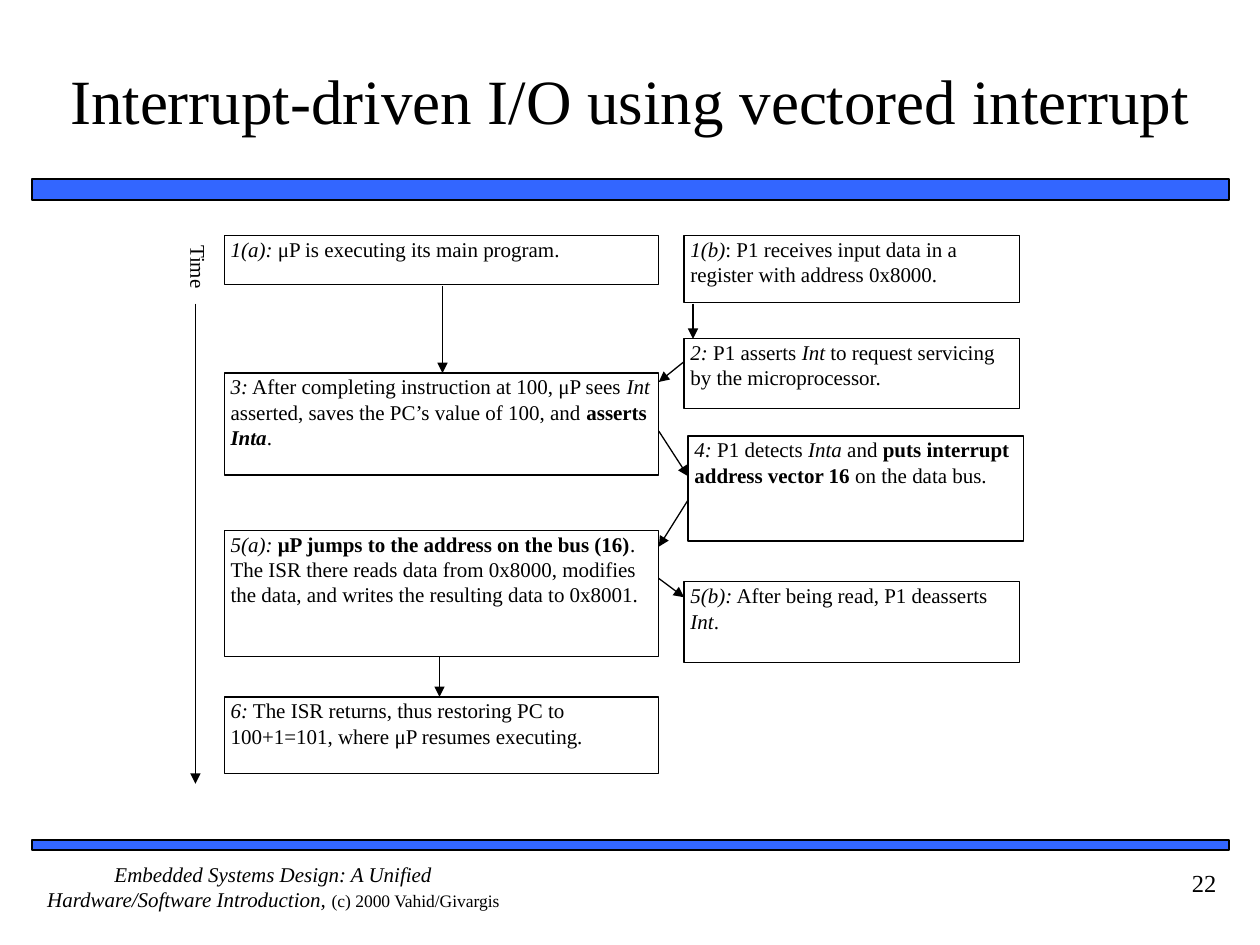
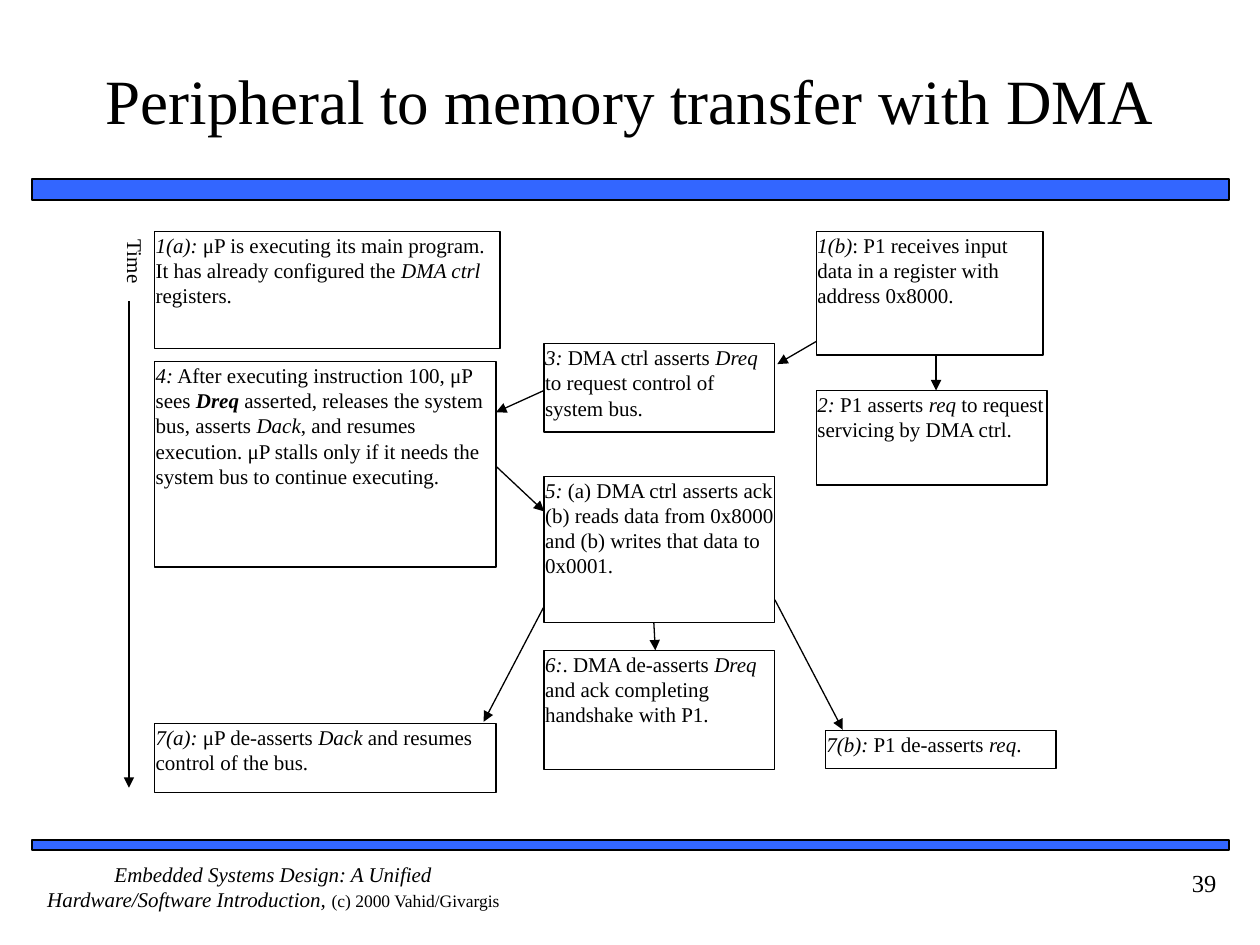
import dataclasses

import lxml.etree
import pptx
import pptx.dml.color
import pptx.enum.shapes
import pptx.enum.text
import pptx.oxml.ns
import pptx.util

Cm = pptx.util.Cm
Pt = pptx.util.Pt
Align = pptx.enum.text.PP_ALIGN
Anchor = pptx.enum.text.MSO_ANCHOR
qn = pptx.oxml.ns.qn


@dataclasses.dataclass(frozen=True)
class Theme:
    font: str = "Times New Roman"
    ink: pptx.dml.color.RGBColor = pptx.dml.color.RGBColor(0x00, 0x00, 0x00)
    band: pptx.dml.color.RGBColor = pptx.dml.color.RGBColor(0x33, 0x66, 0xFF)
    title_size: float = 36
    number_size: float = 14
    body_size: float = 12
    credit_size: float = 10
    band_line: float = 1
    box_line: float = 0.75


class Page:
    def __init__(self, deck, theme, title, number, box_inset):
        self.theme = theme
        self.box_inset = box_inset
        self.shapes = deck.slides.add_slide(deck.slide_layouts[6]).shapes
        self.band(3.61, 0.43)
        self.band(16.93, 0.21)
        self.label(1.06, 0.42, 23.28, 3.18, title, theme.title_size,
                   Align.CENTER, (0, 0.13), Anchor.MIDDLE)
        footer = self.label(
            0.64, 17.36, 9.74, 1.27,
            "_Embedded Systems Design: A Unified Hardware/Software Introduction, _"
            "(c) 2000 Vahid/Givargis", theme.body_size, Align.CENTER)
        footer.text_frame.paragraphs[0].runs[-1].font.size = Pt(theme.credit_size)
        counter = self.label(22.23, 17.36, 2.54, 1.27, str(number),
                             theme.number_size, Align.RIGHT, (0.25, 0.13))
        counter.text_frame.paragraphs[0].space_before = Pt(8.8)

    def set_marked_text(self, frame, marked_text, size, align, insets, anchor):
        frame.word_wrap = True
        frame.vertical_anchor = anchor
        frame.margin_left = frame.margin_right = Cm(insets[0])
        frame.margin_top = frame.margin_bottom = Cm(insets[1])
        para = frame.paragraphs[0]
        para.alignment = align
        for bold, part in enumerate(marked_text.split("*")):
            for italic, words in enumerate(part.split("_")):
                if words:
                    span = para.add_run()
                    span.text = words
                    span.font.name = self.theme.font
                    span.font.size = Pt(size)
                    span.font.color.rgb = self.theme.ink
                    span.font.bold = bold % 2 == 1
                    span.font.italic = italic % 2 == 1

    def label(self, left, top, width, height, text, size,
              align=Align.LEFT, insets=(0, 0), anchor=Anchor.TOP):
        box = self.shapes.add_textbox(Cm(left), Cm(top), Cm(width), Cm(height))
        self.set_marked_text(box.text_frame, text, size, align, insets, anchor)
        return box

    def rectangle(self, left, top, width, height, line_width):
        box = self.shapes.add_shape(pptx.enum.shapes.MSO_SHAPE.RECTANGLE,
                                    Cm(left), Cm(top), Cm(width), Cm(height))
        box.shadow.inherit = False
        box.fill.background()
        box.line.color.rgb = self.theme.ink
        box.line.width = Pt(line_width)
        return box

    def band(self, top, height):
        bar = self.rectangle(0.64, top, 24.13, height, self.theme.band_line)
        bar.fill.solid()
        bar.fill.fore_color.rgb = self.theme.band

    def step(self, left, top, width, height, text):
        box = self.rectangle(left, top, width, height, self.theme.box_line)
        self.set_marked_text(box.text_frame, text, self.theme.body_size, Align.LEFT,
                             (self.box_inset, 0.02), Anchor.TOP)

    def arrow(self, x1, y1, x2, y2):
        line = self.shapes.add_connector(pptx.enum.shapes.MSO_CONNECTOR.STRAIGHT,
                                         Cm(x1), Cm(y1), Cm(x2), Cm(y2))
        line.line.color.rgb = self.theme.ink
        line.line.width = Pt(self.theme.box_line)
        properties = line._element.spPr
        outline = properties.find(qn("a:ln"))
        lxml.etree.SubElement(outline, qn("a:tailEnd")).set("type", "triangle")
        lxml.etree.SubElement(properties, qn("a:effectLst"))

    def time_axis(self, x, top, bottom, left, label_top, width, height):
        self.arrow(x, top, x, bottom)
        label = self.label(left, label_top, width, height, "Time", self.theme.body_size)
        label.rotation = 90


def vectored_interrupt(deck, theme):
    page = Page(deck, theme, "Interrupt-driven I/O using vectored interrupt", 22, 0.13)
    cpu, cpu_width = 4.52, 8.76
    device, device_width = 13.79, 6.76
    cpu_edge = cpu + cpu_width
    vector = 13.87

    cpu_steps = [
        (4.75, 0.99, "_1(a):_ μP is executing its main program."),
        (7.52, 2.06, "_3:_ After completing instruction at 100, μP sees _Int_ asserted, "
                     "saves the PC’s value of 100, and *asserts _Inta_*."),
        (10.69, 2.54, "_5(a): _*μP jumps to the address on the bus (16)*. The ISR there "
                      "reads data from 0x8000, modifies the data, and writes the "
                      "resulting data to 0x8001."),
        (14.05, 1.55, "_6:_ The ISR returns, thus restoring PC to 100+1=101, "
                      "where μP resumes executing."),
    ]
    device_steps = [
        (device, 4.75, 1.35,
         "_1(b)_: P1 receives input data in a register with address 0x8000."),
        (device, 6.83, 1.4,
         "_2:_ P1 asserts _Int_ to request servicing by the microprocessor."),
        (vector, 8.79, 2.12, "_4:_ P1 detects _Inta_ and *puts interrupt address "
                             "vector 16* on the data bus."),
        (device, 11.73, 1.63, "_5(b):_ After being read, P1 deasserts _Int_."),
    ]
    for top, height, text in cpu_steps:
        page.step(cpu, top, cpu_width, height, text)
    for left, top, height, text in device_steps:
        page.step(left, top, device_width, height, text)

    for ends in [
        (8.92, 5.77, 8.92, 7.52),
        (13.97, 6.12, 13.97, 6.83),
        (device, 7.29, cpu_edge, 7.7),
        (cpu_edge, 8.69, vector, 9.6),
        (vector, 10.08, cpu_edge, 11.02),
        (cpu_edge, 11.66, device, 12.04),
        (8.86, 13.23, 8.86, 14.05),
    ]:
        page.arrow(*ends)
    page.time_axis(3.94, 6.12, 15.8, 3.28, 5.18, 1.22, 0.74)


def dma_transfer(deck, theme):
    page = Page(deck, theme, "Peripheral to memory transfer with DMA", 39, 0.02)
    cpu, cpu_width = 3.12, 6.88
    dma, device, width = 10.97, 16.46, 4.65
    cpu_edge = cpu + cpu_width
    dma_edge = dma + width

    for step in [
        (cpu, 4.67, 6.96, 2.36, "_1(a):_ μP is executing its main program. It has already "
                                "configured the _DMA ctrl_ registers."),
        (device, 4.67, 4.57, 2.49,
         "_1(b)_: P1 receives input data in a register with address 0x8000."),
        (device, 7.87, width, 1.91, "_2:_ P1 asserts _req_ to request servicing by DMA ctrl."),
        (dma, 6.93, width, 1.78,
         "_3:_ DMA ctrl asserts _Dreq_ to request control of system bus."),
        (cpu, 7.29, cpu_width, 4.14,
         "_4:_ After executing instruction 100, μP sees *_Dreq _*asserted, releases the "
         "system bus, asserts _Dack_, and resumes execution. μP stalls only if it needs "
         "the system bus to continue executing."),
        (dma, 9.6, width, 2.95, "_5:_ (a) DMA ctrl asserts ack (b) reads data from 0x8000 "
                                "and (b) writes that data to 0x0001."),
        (dma, 13.11, width, 2.41,
         "_6:_. DMA de-asserts _Dreq_ and ack completing handshake with P1."),
        (cpu, 14.58, cpu_width, 1.4,
         "_7(a):_ μP de-asserts _Dack_ and resumes control of the bus."),
        (16.64, 14.73, width, 0.76, "_7(b):_ P1 de-asserts _req_."),
    ]:
        page.step(*step)

    for ends in [
        (18.87, 7.16, 18.87, 7.87),
        (device, 6.88, 15.67, 7.34),
        (dma, 7.87, cpu_edge, 8.31),
        (cpu_edge, 9.4, dma, 10.31),
        (13.18, 12.55, 13.21, 13.11),
        (dma, 12.22, 9.75, 14.55),
        (dma_edge, 12.09, 16.99, 14.71),
    ]:
        page.arrow(*ends)
    page.time_axis(2.6, 6.07, 15.88, 2.16, 5.05, 1.04, 0.61)


def main():
    deck = pptx.Presentation()
    deck.slide_width, deck.slide_height = Cm(25.4), Cm(19.05)
    theme = Theme()
    vectored_interrupt(deck, theme)
    dma_transfer(deck, theme)
    deck.save("out.pptx")


if __name__ == "__main__":
    main()
